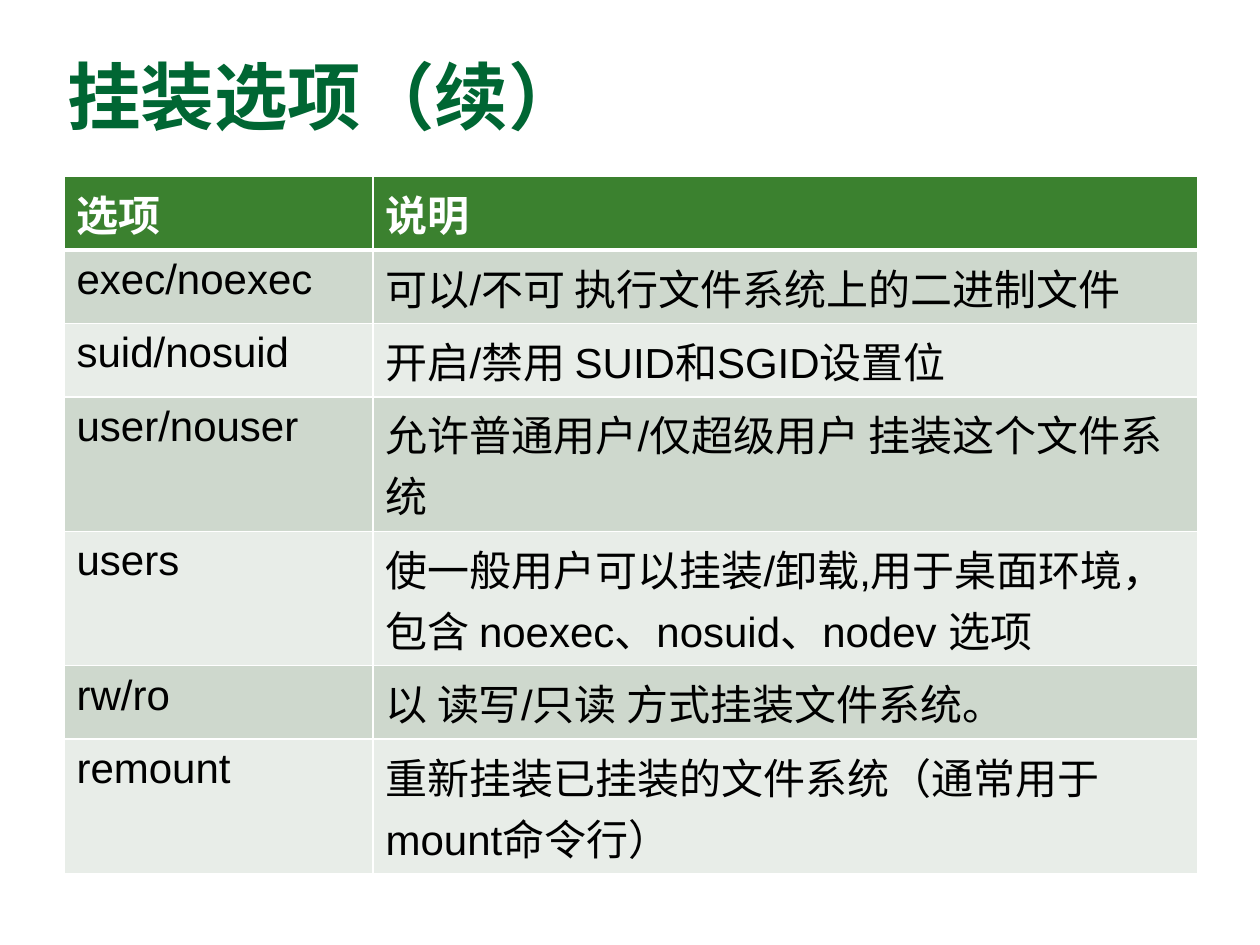
from dataclasses import dataclass

from lxml.etree import SubElement
from pptx import Presentation
from pptx.dml.color import RGBColor as Color
from pptx.enum.text import MSO_ANCHOR as Anchor
from pptx.oxml.ns import qn
from pptx.util import Cm, Pt


@dataclass(frozen=True)
class Theme:
    """Colours, fonts and type sizes of the slide."""
    title: str = "006633"
    header: str = "3B812F"
    bands: tuple = ("CED8CD", "E8EDE8")
    text: str = "000000"
    light: str = "FFFFFF"
    title_font: str = "Times New Roman"
    table_font: str = "Arial"
    title_size: int = 42
    table_size: int = 24


theme = Theme()


def style_text(paragraph, name, size, color, bold):
    """Set the font of a whole paragraph."""
    font = paragraph.font
    font.name, font.size, font.bold = name, Pt(size), bold
    font.color.rgb = Color.from_string(color)


def set_borders(cell, bottom_width):
    """Draw light borders round a cell, ahead of its fill."""
    properties = cell._tc.get_or_add_tcPr()
    for side, width in (("L", 1), ("R", 1), ("T", 1), ("B", bottom_width)):
        line = SubElement(properties, qn(f"a:ln{side}"), w=str(Pt(width)))
        fill = SubElement(line, qn("a:solidFill"))
        SubElement(fill, qn("a:srgbClr"), val=theme.light)


presentation = Presentation()
presentation.slide_width, presentation.slide_height = Cm(25.4), Cm(19.05)
slide = presentation.slides.add_slide(presentation.slide_layouts[6])

title = slide.shapes.add_textbox(Cm(1.11), Cm(0.82), Cm(22.86), Cm(2.18))
title.text_frame.word_wrap = True
title.text_frame.vertical_anchor = Anchor.MIDDLE
title_paragraph = title.text_frame.paragraphs[0]
title_paragraph.text = "挂装选项（续）"
style_text(title_paragraph, theme.title_font, theme.title_size, theme.title, True)

# Each row: option, description, number of text lines
options = [
    ("选项", "说明", 1),
    ("exec/noexec", "可以/不可 执行文件系统上的二进制文件", 1),
    ("suid/nosuid ", "开启/禁用 SUID和SGID设置位", 1),
    ("user/nouser ", "允许普通用户/仅超级用户 挂装这个文件系统", 2),
    ("users ", "使一般用户可以挂装/卸载,用于桌面环境，包含 noexec、nosuid、nodev 选项 ", 2),
    ("rw/ro", "以 读写/只读 方式挂装文件系统。", 1),
    ("remount ", "重新挂装已挂装的文件系统（通常用于mount命令行）", 2),
]
row_padding, line_height = Cm(0.25), Cm(1.23)
row_heights = [row_padding + lines * line_height for _, _, lines in options]
table = slide.shapes.add_table(
    len(options), 2, Cm(1.29), Cm(3.56), Cm(22.86), sum(row_heights)
).table
table.columns[0].width, table.columns[1].width = Cm(6.23), Cm(16.63)

for row_index, (option, description, _) in enumerate(options):
    table.rows[row_index].height = row_heights[row_index]
    is_header = row_index == 0
    fill_color = theme.header if is_header else theme.bands[(row_index - 1) % 2]
    text_color = theme.light if is_header else theme.text
    for column_index, text in enumerate((option, description)):
        cell = table.cell(row_index, column_index)
        set_borders(cell, 3 if is_header else 1)
        cell.fill.solid()
        cell.fill.fore_color.rgb = Color.from_string(fill_color)
        paragraph = cell.text_frame.paragraphs[0]
        paragraph.text = text
        style_text(paragraph, theme.table_font, theme.table_size, text_color, is_header)

presentation.save("out.pptx")
